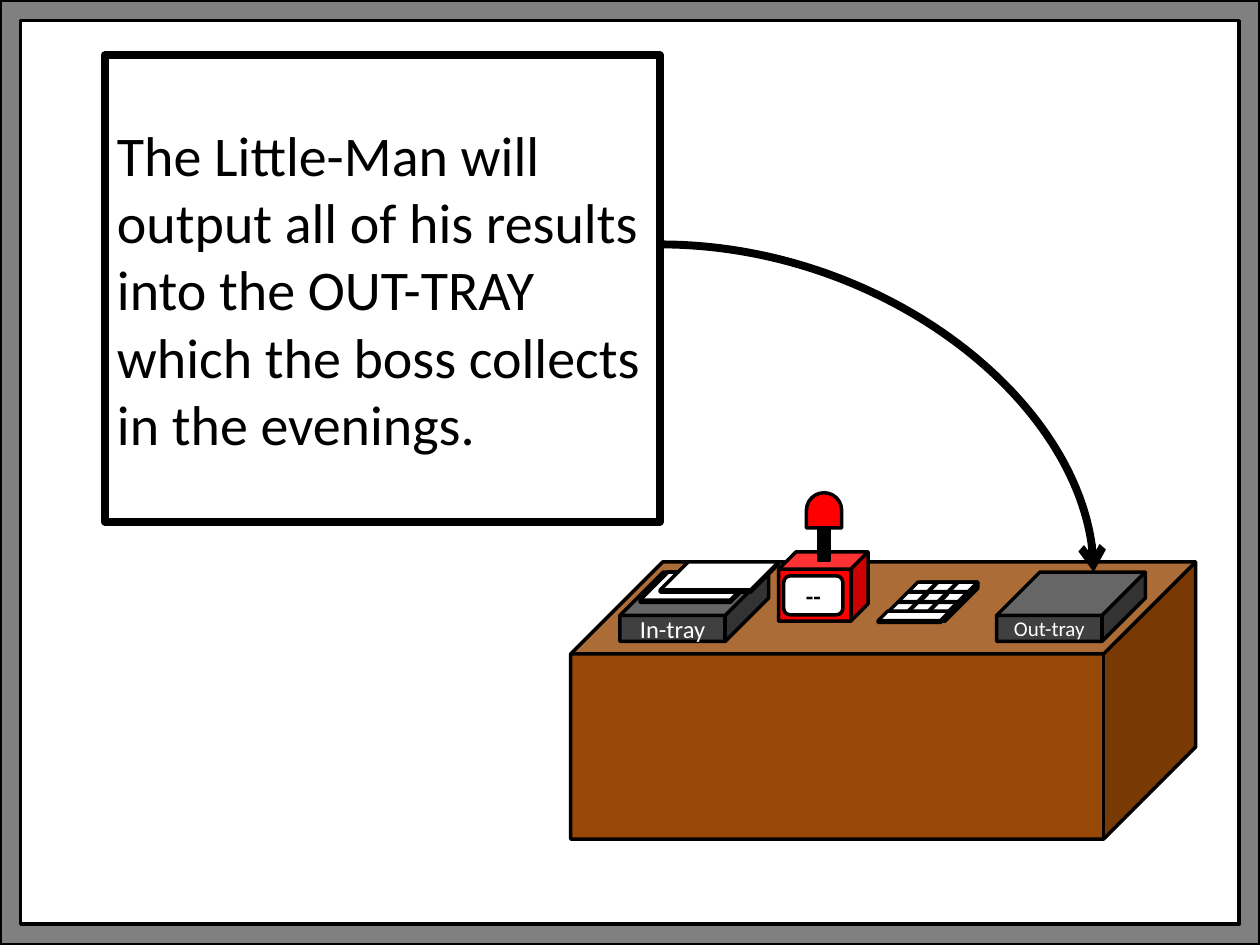
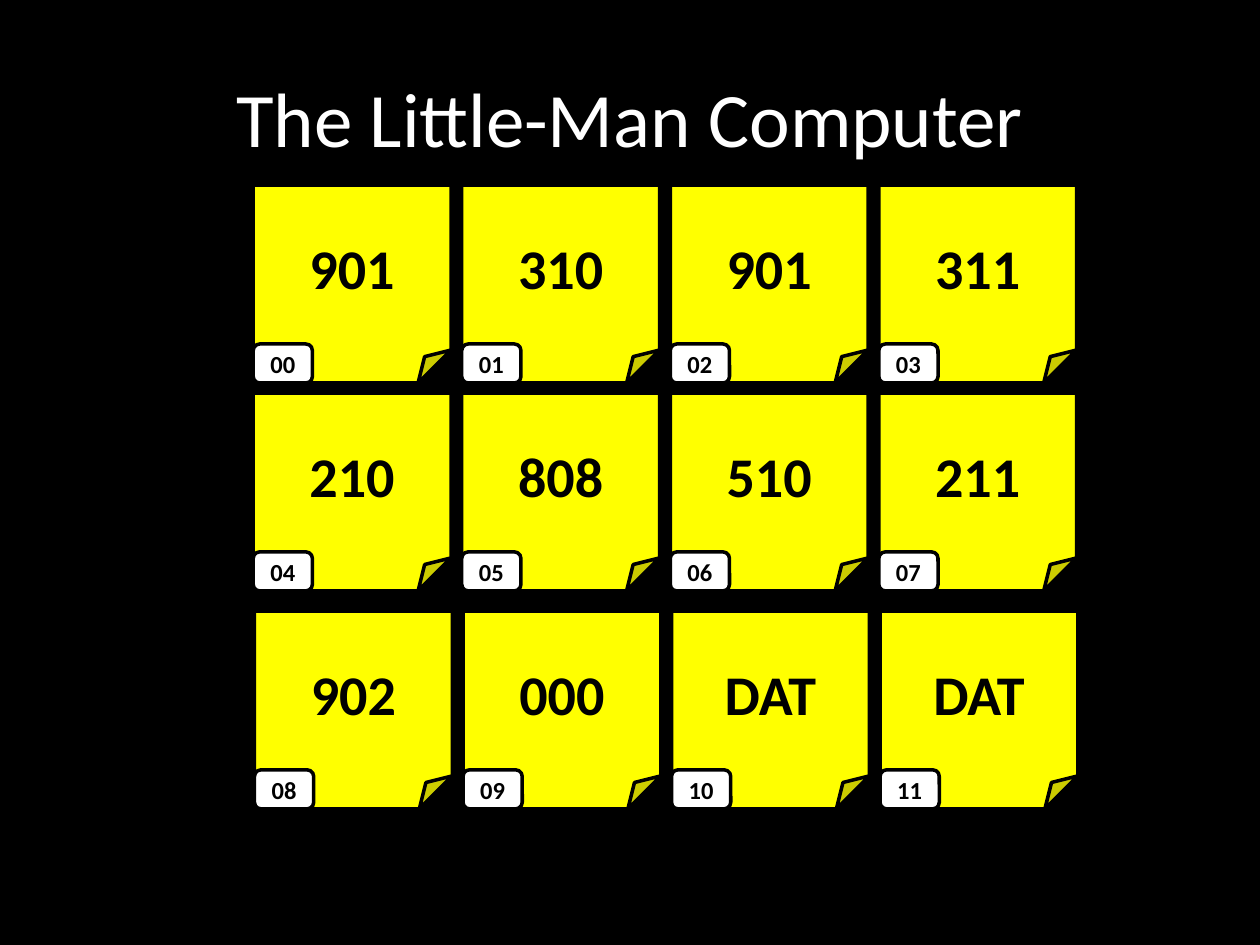
from lxml import etree
from pptx import Presentation
from pptx import util as u
from pptx.dml.color import RGBColor
from pptx.enum import shapes, text
from pptx.oxml.ns import qn

COLOURS = {
    "black": "000000",
    "white": "FFFFFF",
    "grey": "808080",
    "tray": "404040",
    "wood": "984807",
    "red": "FF0000",
    "note": "FFFF00",
}
FONT = "Calibri"
KIND = shapes.MSO_SHAPE
KEY_SLANT = 0.837
PAPER_SLANT = 0.928
NOTE_SIZE = 1.57
NOTE_PITCH = 1.655
MEMORY_ROWS = [
    (2.01, 1.47, ["901", "310", "901", "311"]),
    (2.01, 3.12, ["210", "808", "510", "211"]),
    (2.02, 4.85, ["902", "000", "DAT", "DAT"]),
]


def colour(name):
    return RGBColor.from_string(COLOURS[name])


def add_slide(presentation, background):
    slide = presentation.slides.add_slide(presentation.slide_layouts[6])
    slide.background.fill.solid()
    slide.background.fill.fore_color.rgb = colour(background)
    return slide


def write(shape, words, size, ink="black", bold=False, align=text.PP_ALIGN.CENTER):
    frame = shape.text_frame
    frame.text = words
    frame.word_wrap = True
    frame.vertical_anchor = text.MSO_ANCHOR.MIDDLE
    paragraph = frame.paragraphs[0]
    paragraph.alignment = align
    font = paragraph.runs[0].font
    font.name = FONT
    font.size = u.Pt(size)
    font.bold = bold
    font.color.rgb = colour(ink)


def add_block(slide, kind, box, fill=None, adjustment=None, line=2):
    shape = slide.shapes.add_shape(kind, *map(u.Inches, box))
    shape.shadow.inherit = False
    if fill:
        shape.fill.solid()
        shape.fill.fore_color.rgb = colour(fill)
    else:
        shape.fill.background()
    shape.line.color.rgb = colour("black")
    shape.line.width = u.Pt(line)
    if adjustment is not None:
        shape.adjustments[0] = adjustment
    return shape


def add_label(slide, left, top, words):
    label = add_block(slide, KIND.ROUNDED_RECTANGLE, (left, top, 0.47, 0.31), "white")
    write(label, words, 14, bold=True)


def add_tray(slide, left, words, size):
    tray = add_block(slide, KIND.CUBE, (left, 4.54, 1.18, 0.55), "tray", 0.625)
    write(tray, words, size, "white")


def add_paper(slide, left, top):
    add_block(slide, KIND.CUBE, (left, top, 0.94, 0.24), "white", PAPER_SLANT)


def add_alarm(slide):
    add_block(slide, KIND.CUBE, (6.18, 4.38, 0.71, 0.55), "red")
    add_block(slide, KIND.RECTANGLE, (6.5, 4.14, 0.08, 0.31), "black")
    lamp = add_block(slide, KIND.FLOWCHART_DELAY, (6.4, 3.91, 0.28, 0.28), "red")
    lamp.rotation = 270
    add_label(slide, 6.22, 4.57, "--")


def add_keypad(slide):
    add_block(slide, KIND.CUBE, (7.05, 4.62, 0.71, 0.31), "white", KEY_SLANT)
    for row in range(3):
        columns = reversed(range(3)) if row == 1 else range(3)
        for column in columns:
            left = 7.21 - 0.08 * row + 0.16 * column
            box = (left, 4.62 + 0.08 * row, 0.23, 0.09)
            add_block(slide, KIND.CUBE, box, "white", KEY_SLANT)
    add_block(slide, KIND.CUBE, (6.97, 4.85, 0.57, 0.09), "white", KEY_SLANT)


def add_curved_arrow(slide, start, end):
    points = map(u.Inches, (*start, *end))
    arrow = slide.shapes.add_connector(shapes.MSO_CONNECTOR.CURVE, *points)
    arrow.line.color.rgb = colour("black")
    arrow.line.width = u.Pt(4.5)
    properties = arrow._element.spPr
    properties.find(qn("a:prstGeom")).set("prst", "curvedConnector2")
    etree.SubElement(properties.find(qn("a:ln")), qn("a:tailEnd"), type="arrow")
    etree.SubElement(properties, qn("a:effectLst"))


def add_title(slide, words):
    box = slide.shapes.add_textbox(*map(u.Inches, (0.5, 0.3, 9, 1.25)))
    write(box, words, 44, "white")


def build_desk_slide(presentation):
    slide = add_slide(presentation, "white")
    add_block(slide, KIND.CUBE, (4.53, 4.46, 4.96, 2.2), "wood", 0.332)
    add_tray(slide, 4.92, "In-tray", 14)
    add_tray(slide, 7.91, "Out-tray", 12)
    add_paper(slide, 5.08, 4.54)
    add_alarm(slide)
    add_keypad(slide)
    add_paper(slide, 5.24, 4.46)
    add_block(slide, KIND.FRAME, (0, 0, 10, 7.5), "grey", 0.022)
    message = add_block(slide, KIND.RECTANGLE, (0.83, 0.44, 4.41, 3.7), line=4.5)
    words = (
        "The Little-Man will output all of his results into the OUT-TRAY "
        "which the boss collects in the evenings."
    )
    write(message, words, 32, align=text.PP_ALIGN.LEFT)
    add_curved_arrow(slide, (5.24, 1.94), (8.68, 4.54))


def build_memory_slide(presentation):
    slide = add_slide(presentation, "black")
    add_title(slide, "The Little-Man Computer")
    address = 0
    for row_left, top, values in MEMORY_ROWS:
        for column, value in enumerate(values):
            left = row_left + column * NOTE_PITCH
            box = (left, top, NOTE_SIZE, NOTE_SIZE)
            note = add_block(slide, KIND.FOLDED_CORNER, box, "note")
            write(note, value, 32, bold=True)
            add_label(slide, left, top + 1.26, f"{address:02d}")
            address += 1


def main():
    presentation = Presentation()
    presentation.slide_width = u.Inches(10)
    presentation.slide_height = u.Inches(7.5)
    build_desk_slide(presentation)
    build_memory_slide(presentation)
    presentation.save("out.pptx")


main()
